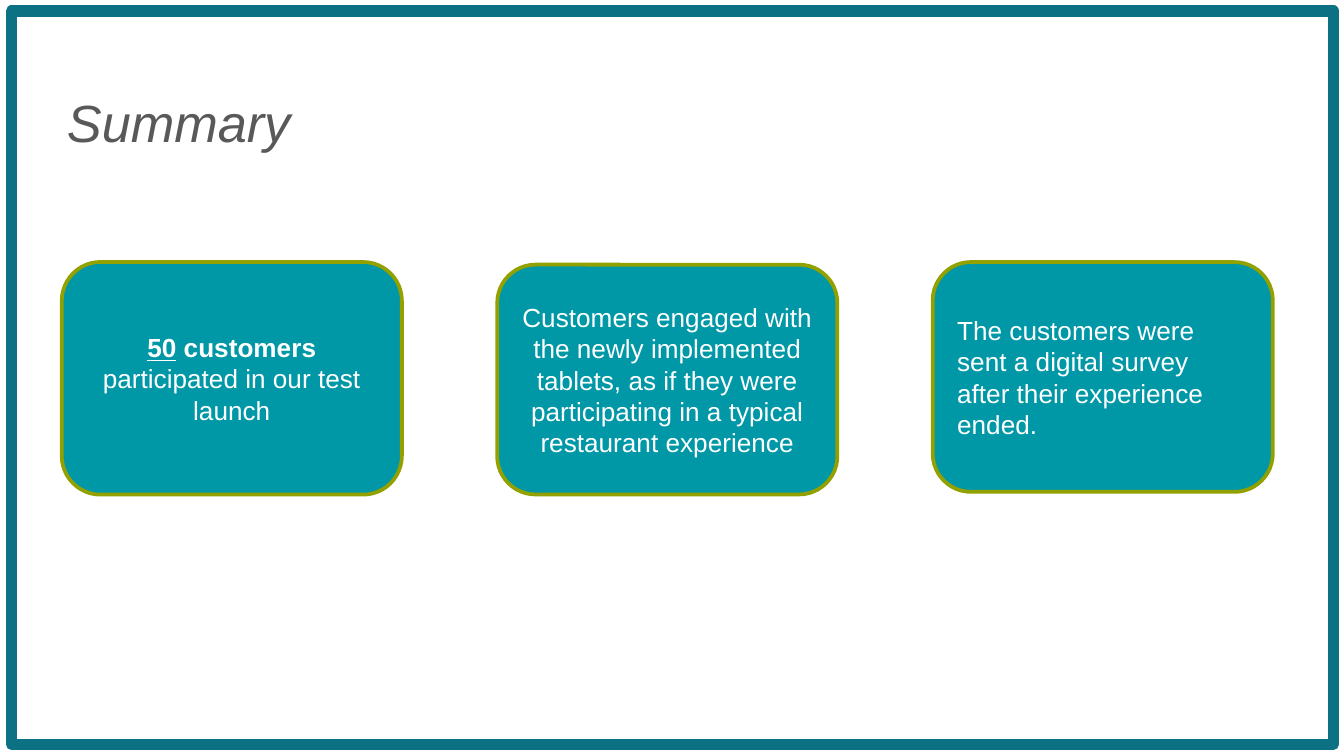
"""Build a summary slide with a title and three rounded cards in a frame."""
from pptx import Presentation
from pptx.dml.color import RGBColor
from pptx.enum.shapes import MSO_SHAPE
from pptx.enum.text import MSO_ANCHOR, PP_ALIGN
from pptx.util import Pt

RECT, ROUND = MSO_SHAPE.RECTANGLE, MSO_SHAPE.ROUNDED_RECTANGLE
TOP, MIDDLE = MSO_ANCHOR.TOP, MSO_ANCHOR.MIDDLE
LEFT, CENTER = PP_ALIGN.LEFT, PP_ALIGN.CENTER
FRAME = RGBColor(0x0C, 0x71, 0x82)
TEAL = RGBColor(0x00, 0x97, 0xA7)
OLIVE = RGBColor(0x92, 0xA0, 0x00)
GRAY = RGBColor(0x59, 0x59, 0x59)
WHITE = RGBColor(0xFF, 0xFF, 0xFF)

CARDS = [
    (140.4, 124.6, CENTER, [("50", True, True), (" customers ", True, False),
                            ("participated in our test launch", False, False)]),
    (141.8, 123.1, CENTER, [("Customers engaged with the newly implemented tablets, "
                             "as if they were participating in a typical "
                             "restaurant experience", False, False)]),
    (140.4, 123.1, LEFT, [("The customers were sent a digital survey after "
                           "their experience ended.", False, False)]),
]
START, WIDTH, STEP = 33.1, 182.2, 233.3

deck = Presentation()
deck.slide_width, deck.slide_height = Pt(720), Pt(405)
slide = deck.slides.add_slide(deck.slide_layouts[6])
shapes = slide.shapes


def add_panel(kind, left, top, width, height, color, weight):
    panel = shapes.add_shape(kind, Pt(left), Pt(top), Pt(width), Pt(height))
    panel.shadow.inherit = False
    panel.line.color.rgb = color
    panel.line.width = Pt(weight)
    return panel


def set_font(para, size, color):
    para.font.name = "Arial"
    para.font.size = Pt(size)
    para.font.color.rgb = color


frame = add_panel(RECT, 6.2, 5.9, 708, 393, FRAME, 6)
frame.fill.background()

title = shapes.add_textbox(Pt(28.8), Pt(41), Pt(671), Pt(62.6)).text_frame
title.word_wrap = True
title.vertical_anchor = TOP
title.margin_left = title.margin_right = Pt(7.2)
title.margin_top = title.margin_bottom = Pt(7.2)
para = title.paragraphs[0]
para.text = "Summary"
set_font(para, 28, GRAY)
para.font.italic = True

for index, (top, height, align, parts) in enumerate(CARDS):
    card = add_panel(ROUND, START + index * STEP, top, WIDTH, height, OLIVE, 2)
    card.fill.solid()
    card.fill.fore_color.rgb = TEAL
    body = card.text_frame
    body.word_wrap = True
    body.vertical_anchor = MIDDLE
    para = body.paragraphs[0]
    para.alignment = align
    set_font(para, 14, WHITE)
    for text, bold, under in parts:
        run = para.add_run()
        run.text = text
        run.font.bold = bold
        run.font.underline = under

deck.save("out.pptx")
